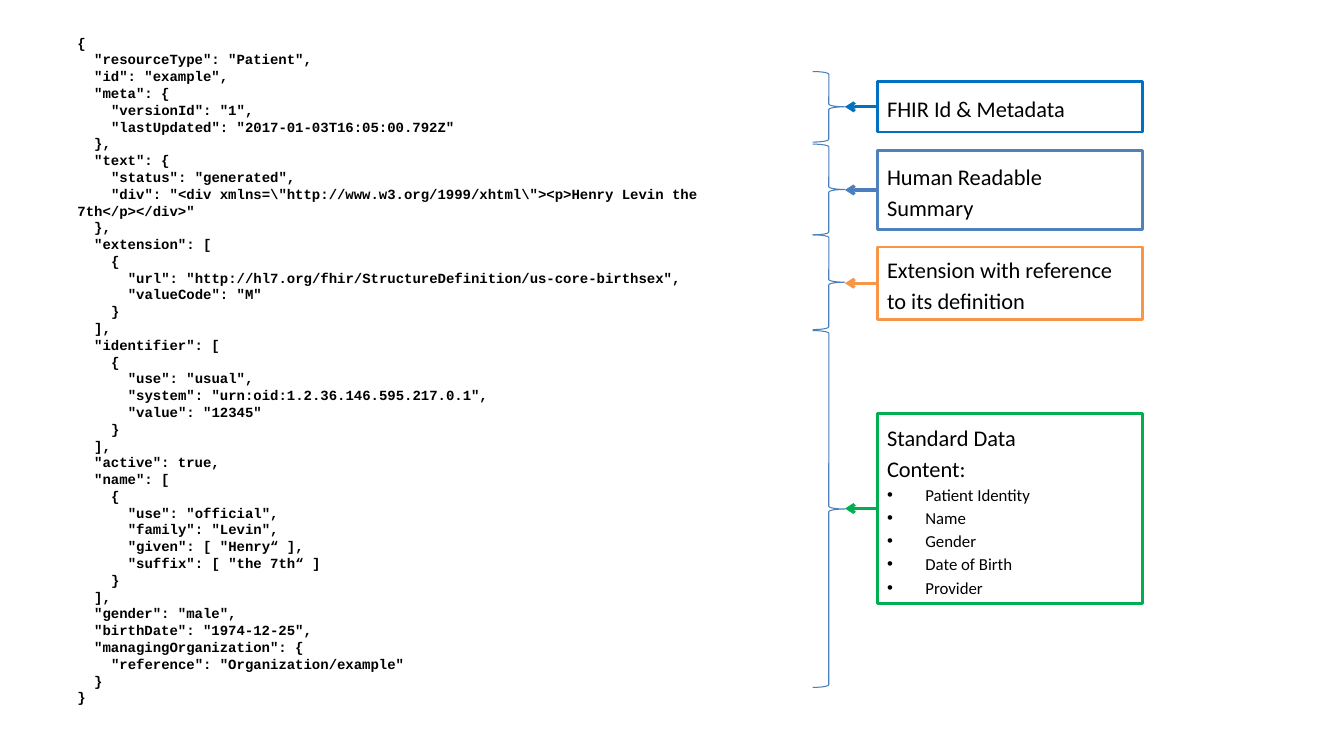
import dataclasses

import pptx
import pptx.dml.color
import pptx.enum.shapes
import pptx.enum.text
import pptx.oxml
import pptx.oxml.ns
import pptx.slide
import pptx.text.text
import pptx.util
from pptx.util import Inches

# Nesting level and code of each line of the resource
PATIENT_JSON: tuple[tuple[int, str], ...] = (
    (0, '{'),
    (1, '"resourceType": "Patient",'),
    (1, '"id": "example",'),
    (1, '"meta": {'),
    (2, '"versionId": "1",'),
    (2, '"lastUpdated": "2017-01-03T16:05:00.792Z"'),
    (1, '},'),
    (1, '"text": {'),
    (2, '"status": "generated",'),
    (2, r'"div": "<div xmlns=\"http://www.w3.org/1999/xhtml\"><p>Henry Levin the 7th</p></div>"'),
    (1, '},'),
    (1, '"extension": ['),
    (2, '{'),
    (3, '"url": "http://hl7.org/fhir/StructureDefinition/us-core-birthsex",'),
    (3, '"valueCode": "M"'),
    (2, '}'),
    (1, '],'),
    (1, '"identifier": ['),
    (2, '{'),
    (3, '"use": "usual",'),
    (3, '"system": "urn:oid:1.2.36.146.595.217.0.1",'),
    (3, '"value": "12345"'),
    (2, '}'),
    (1, '],'),
    (1, '"active": true,'),
    (1, '"name": ['),
    (2, '{'),
    (3, '"use": "official",'),
    (3, '"family": "Levin",'),
    (3, '"given": [ "Henry“ ],'),
    (3, '"suffix": [ "the 7th“ ]'),
    (2, '}'),
    (1, '],'),
    (1, '"gender": "male",'),
    (1, '"birthDate": "1974-12-25",'),
    (1, '"managingOrganization": {'),
    (2, '"reference": "Organization/example"'),
    (1, '}'),
    (0, '}'),
)

CODE_SIZE = 10
LEVEL_INDENT = 1.2 * CODE_SIZE
BRACE_LEFT, BRACE_WIDTH = 8.06, 0.32
BRACE_TIP = BRACE_LEFT + BRACE_WIDTH
LABEL_LEFT, LABEL_WIDTH = 8.7, 2.63
BULLET_INDENT = 0.38
BRACE_BLUE = "4B7EBC"


@dataclasses.dataclass(frozen=True)
class Section:
    """One part of the resource: its brace, arrow and label."""
    heading: tuple[str, ...]
    top: float
    height: float
    brace_top: float
    brace_height: float
    outline: str
    arrow: str
    items: tuple[str, ...] = ()


SECTIONS = (
    Section(("FHIR Id & Metadata",), 0.81, 0.5, 0.71, 0.7, "0070C0", "0070C0"),
    Section(("Human Readable Summary",), 1.49, 0.79, 1.43, 0.9, "4F81BD", BRACE_BLUE),
    Section(("Extension with reference to its definition",), 2.45, 0.72, 2.33, 0.94,
            "F79646", "F79646"),
    Section(("Standard Data ", "Content:"), 4.1, 1.89, 3.28, 3.54, "00B050", "00B050",
            ("Patient Identity", "Name", "Gender", "Date of Birth", "Provider")),
)


def rgb(value: str) -> pptx.dml.color.RGBColor:
    return pptx.dml.color.RGBColor.from_string(value)


def add_run(paragraph: pptx.text.text._Paragraph, text: str, font: str, size: float,
            bold: bool = False) -> None:
    run = paragraph.add_run()
    run.text = text
    run.font.name = font
    run.font.size = pptx.util.Pt(size)
    run.font.bold = bold
    run.font.color.rgb = rgb("000000")


def add_code(slide: pptx.slide.Slide) -> None:
    box = slide.shapes.add_textbox(Inches(0.67), Inches(0.29), Inches(7.57), Inches(7))
    frame = box.text_frame
    frame.word_wrap = True
    frame.auto_size = pptx.enum.text.MSO_AUTO_SIZE.SHAPE_TO_FIT_TEXT
    for index, (level, code) in enumerate(PATIENT_JSON):
        paragraph = frame.add_paragraph() if index else frame.paragraphs[0]
        paragraph.line_spacing = pptx.util.Pt(12)
        # First-line indent, so that wrapped lines return to the margin
        properties = paragraph._p.get_or_add_pPr()
        properties.set("marL", "0")
        properties.set("indent", str(pptx.util.Pt(LEVEL_INDENT * level)))
        add_run(paragraph, code, "Courier New", CODE_SIZE, bold=True)


def add_bullet(paragraph: pptx.text.text._Paragraph) -> None:
    properties = paragraph._p.get_or_add_pPr()
    properties.set("marL", str(Inches(BULLET_INDENT)))
    properties.set("indent", str(-Inches(BULLET_INDENT)))
    namespace = pptx.oxml.ns.nsdecls("a")
    for tag in (f'<a:buFont {namespace} typeface="Arial"/>',
                f'<a:buChar {namespace} char="•"/>'):
        properties.append(pptx.oxml.parse_xml(tag))


def add_label(slide: pptx.slide.Slide, section: Section) -> None:
    label = slide.shapes.add_shape(
        pptx.enum.shapes.MSO_SHAPE.RECTANGLE, Inches(LABEL_LEFT), Inches(section.top),
        Inches(LABEL_WIDTH), Inches(section.height))
    label.shadow.inherit = False
    label.fill.solid()
    label.fill.fore_color.rgb = rgb("FFFFFF")
    label.line.color.rgb = rgb(section.outline)
    label.line.width = pptx.util.Pt(2)
    frame = label.text_frame
    frame.word_wrap = True
    frame.vertical_anchor = pptx.enum.text.MSO_ANCHOR.MIDDLE

    heading = frame.paragraphs[0]
    for index, line in enumerate(section.heading):
        if index:
            heading.add_line_break()
        add_run(heading, line, "Calibri", 16)
    for item in section.items:
        bullet = frame.add_paragraph()
        add_run(bullet, item, "Calibri", 12)
    for index, paragraph in enumerate(frame.paragraphs):
        paragraph.alignment = pptx.enum.text.PP_ALIGN.LEFT
        paragraph.line_spacing = 1.15
        if index:
            add_bullet(paragraph)


def add_arrow(slide: pptx.slide.Slide, section: Section) -> None:
    middle = Inches(section.top + section.height / 2)
    arrow = slide.shapes.add_connector(
        pptx.enum.shapes.MSO_CONNECTOR.STRAIGHT,
        Inches(LABEL_LEFT), middle, Inches(BRACE_TIP), middle)
    arrow.line.color.rgb = rgb(section.arrow)
    arrow.line.width = pptx.util.Pt(2.25)
    namespace = pptx.oxml.ns.nsdecls("a")
    arrow.line._get_or_add_ln().append(
        pptx.oxml.parse_xml(f'<a:tailEnd {namespace} type="arrow"/>'))
    arrow._element.spPr.append(pptx.oxml.parse_xml(f"<a:effectLst {namespace}/>"))


def add_brace(slide: pptx.slide.Slide, section: Section) -> None:
    brace = slide.shapes.add_shape(
        pptx.enum.shapes.MSO_SHAPE.RIGHT_BRACE, Inches(BRACE_LEFT),
        Inches(section.brace_top), Inches(BRACE_WIDTH), Inches(section.brace_height))
    brace.shadow.inherit = False
    brace.fill.background()
    brace.line.color.rgb = rgb(BRACE_BLUE)
    brace.line.width = pptx.util.Pt(0.75)


def main() -> None:
    deck = pptx.Presentation()
    deck.slide_width, deck.slide_height = Inches(13.33), Inches(7.5)
    slide = deck.slides.add_slide(deck.slide_layouts.get_by_name("Blank"))

    # Patient resource on the left
    add_code(slide)

    # Explained sections on the right
    for section in SECTIONS:
        add_label(slide, section)
        add_arrow(slide, section)
        add_brace(slide, section)

    deck.save("out.pptx")


if __name__ == "__main__":
    main()
